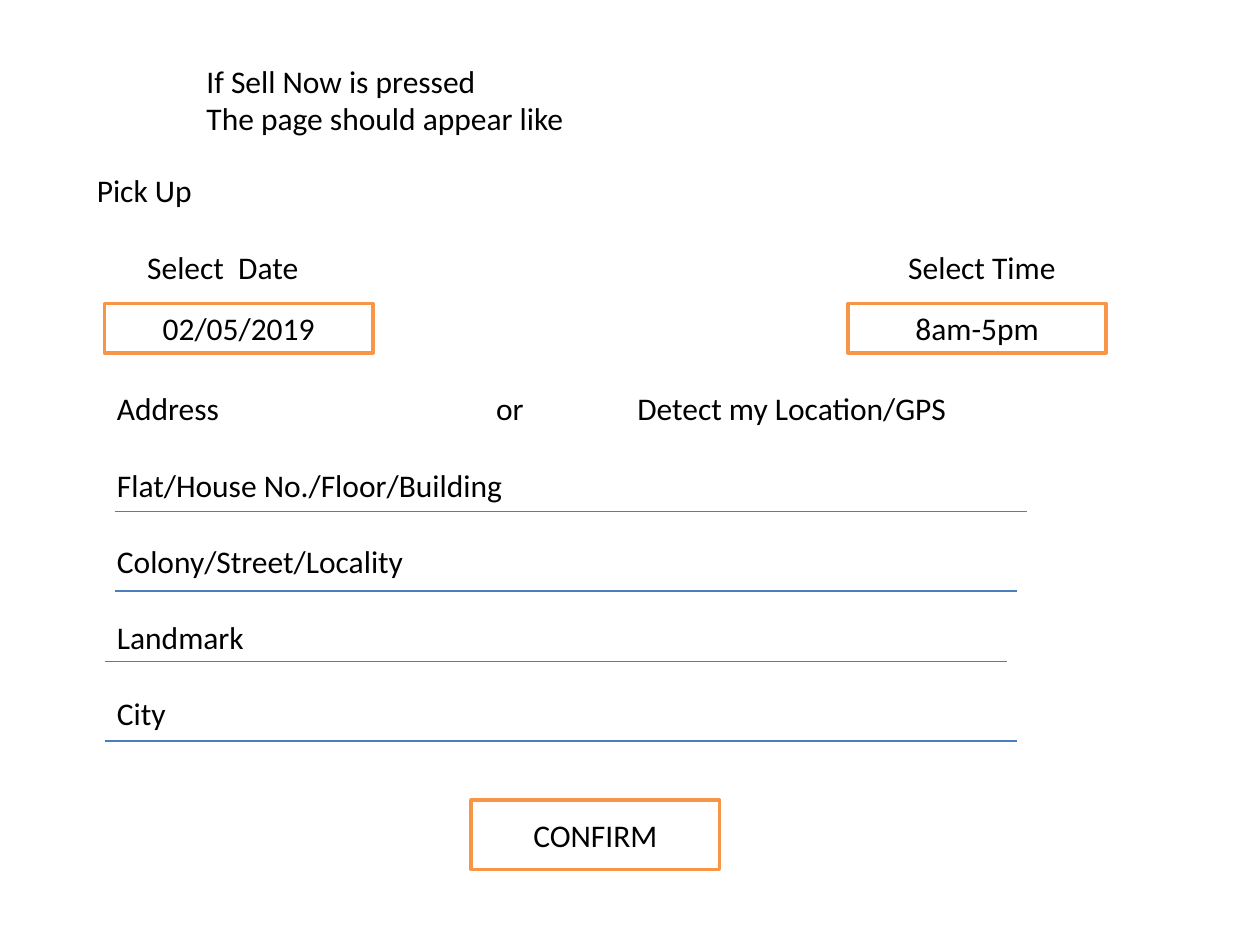
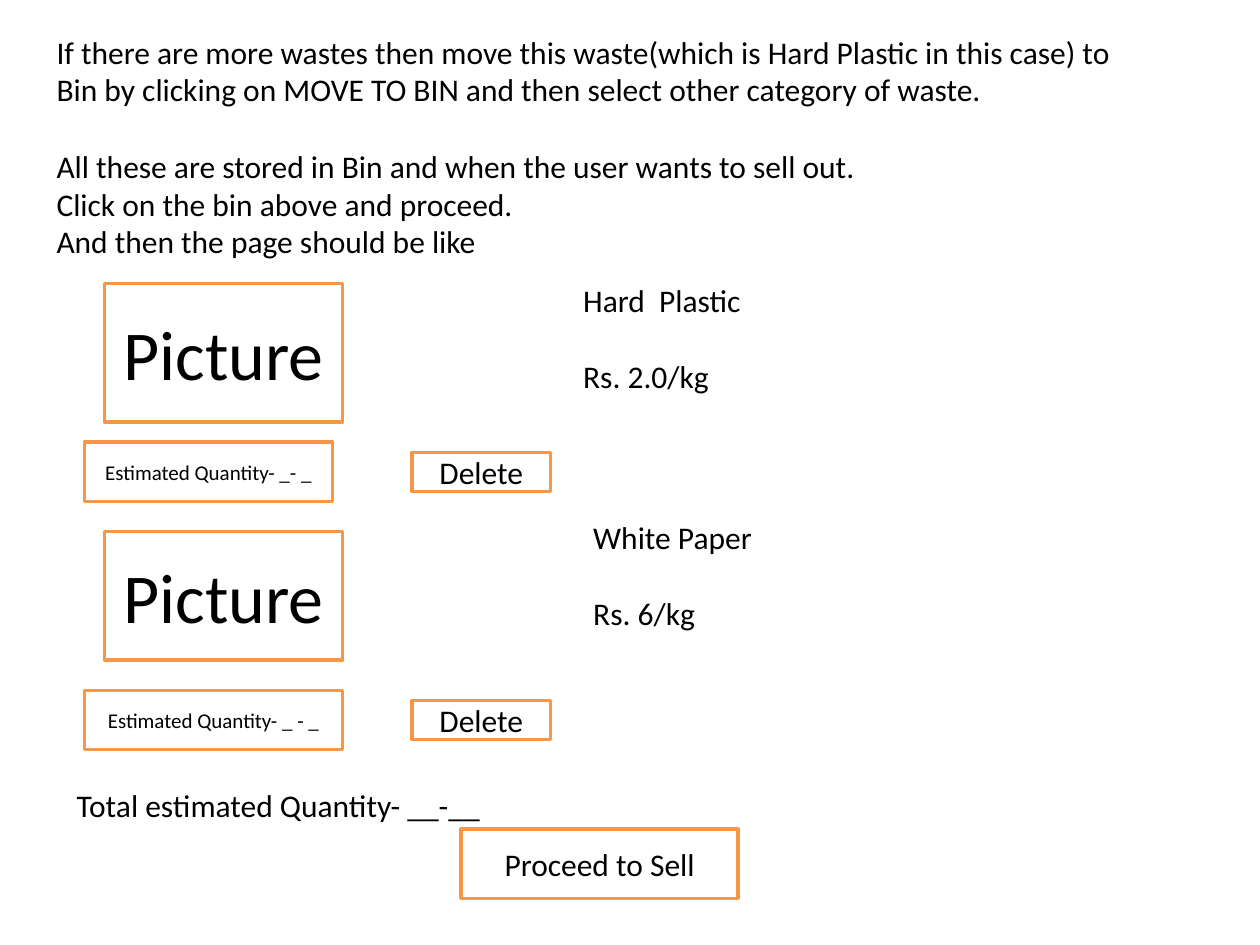
from dataclasses import dataclass

from pptx import Presentation
from pptx.dml.color import RGBColor as Rgb
from pptx.enum.shapes import MSO_CONNECTOR as Conn, MSO_SHAPE as Kind
from pptx.enum.text import MSO_ANCHOR as Anchor, PP_ALIGN as Align
from pptx.oxml.ns import qn
from pptx.util import Inches, Pt
from lxml.etree import SubElement as Sub


@dataclass(frozen=True)
class Theme:
    """Colours, type sizes and grid cell shared by the slides."""
    font: str = "Calibri"
    ink: Rgb = Rgb(0, 0, 0)
    paper: Rgb = Rgb(255, 255, 255)
    edge: Rgb = Rgb(0xF7, 0x96, 0x46)
    rule: Rgb = Rgb(0x4B, 0x7E, 0xBC)
    body: int = 18
    small: int = 12
    large: int = 40
    gap: int = 22
    cell: int = Inches(0.1)


LOOK = Theme()


def grid(*cells):
    """Turn grid columns and rows into lengths."""
    return [round(cell * LOOK.cell) for cell in cells]


def style(para, size):
    """Give a paragraph the shared font."""
    font = para.font
    font.name, font.size = LOOK.font, Pt(size)
    font.color.rgb = LOOK.ink


def add_tabs(para, stops):
    """Set left tab stops, given in columns."""
    tabs = Sub(para._p.get_or_add_pPr(), qn("a:tabLst"))
    for stop in grid(*stops):
        Sub(tabs, qn("a:tab"), pos=str(stop), algn="l")


def add_note(slide, place, groups, stops=()):
    """Write groups of lines with one empty line's height between groups."""
    frame = slide.shapes.add_textbox(*grid(*place)).text_frame
    frame.word_wrap = True
    para = frame.paragraphs[0]
    for group in groups:
        for row, line in enumerate(group.split("\n")):
            if para.text:
                para = frame.add_paragraph()
                para.space_before = Pt(0 if row else LOOK.gap)
            para.text = line
            if "\t" in line:
                add_tabs(para, stops)
            style(para, LOOK.body)


def add_box(slide, place, text, size=LOOK.body):
    """Draw an outlined box with centred text."""
    box = slide.shapes.add_shape(Kind.RECTANGLE, *grid(*place))
    box.shadow.inherit = False
    box.fill.solid()
    box.fill.fore_color.rgb = LOOK.paper
    box.line.color.rgb = LOOK.edge
    box.line.width = Pt(2)
    frame = box.text_frame
    frame.word_wrap = True
    frame.vertical_anchor = Anchor.MIDDLE
    para = frame.paragraphs[0]
    para.text = text
    para.alignment = Align.CENTER
    style(para, size)


def add_rule(slide, left, right, top):
    """Draw a thin level line."""
    rule = slide.shapes.add_connector(
        Conn.STRAIGHT, *grid(left, top, right, top))
    rule.line.color.rgb = LOOK.rule
    rule.line.width = Pt(0.75)
    Sub(rule._element.spPr, qn("a:effectLst"))


def draw_form(slide):
    """Build the pick-up form."""
    add_note(slide, (15.4, 4.4, 30.7, 10.1),
             ["If Sell Now is pressed\nThe page should appear like"])
    add_note(slide, (6.7, 13.1, 86.6, 19.2),
             ["Pick Up", "\tSelect  Date\tSelect Time"], (4, 64.4))
    add_box(slide, (8.3, 24.1, 21.3, 3.9), "02/05/2019")
    add_box(slide, (67.3, 24.1, 20.5, 3.9), "8am-5pm")
    add_note(slide, (8.3, 30.4, 78, 28.3),
             ["Address\tor\tDetect my Location/GPS",
              "Flat/House No./Floor/Building", "Colony/Street/Locality",
              "Landmark", "City"], (30.1, 41.3))
    for ends in ((9.1, 81.5, 40.6), (9.1, 80.7, 46.9),
                 (8.3, 79.9, 52.5), (8.3, 80.7, 58.8)):
        add_rule(slide, *ends)
    add_box(slide, (37.4, 63.5, 19.7, 5.5), "CONFIRM")


def draw_bin(slide):
    """Build the bin page with its waste items."""
    add_note(slide, (3.5, 2.1, 92.9, 19.2), [
        "If there are more wastes then move this waste(which is Hard Plastic"
        " in this case) to\nBin by clicking on MOVE TO BIN and then select"
        " other category of waste.",
        "All these are stored in Bin and when the user wants to sell out.\n"
        "Click on the bin above and proceed.\n"
        "And then the page should be like"])
    items = (
        ("Hard  Plastic", "Rs. 2.0/kg", (45.3, 21.8), 11,
         "Estimated Quantity- _- _", 19.7),
        ("White Paper", "Rs. 6/kg", (46.1, 40.6), 10.2,
         "Estimated Quantity- _ - _", 20.5))
    for row, (name, price, spot, tall, count, wide) in enumerate(items):
        top = 22.5 + row * 19.7
        add_box(slide, (8.3, top, 18.9, tall), "Picture", LOOK.large)
        add_note(slide, (*spot, 14.8, 10.1), [name, price])
        add_box(slide, (6.7, top + 12.6, wide, 4.7), count, LOOK.small)
        add_box(slide, (32.7, top + 13.4, 11, 3.1), "Delete")
    add_box(slide, (36.6, 65.8, 22, 5.5), "Proceed to Sell")
    add_note(slide, (5.1, 61.9, 34.5, 4), ["Total estimated Quantity- __-__"])


def main():
    """Build and save the deck."""
    deck = Presentation()
    deck.slide_width, deck.slide_height = grid(100, 75)
    for draw in (draw_form, draw_bin):
        draw(deck.slides.add_slide(deck.slide_layouts[6]))
    deck.save("out.pptx")


if __name__ == "__main__":
    main()
